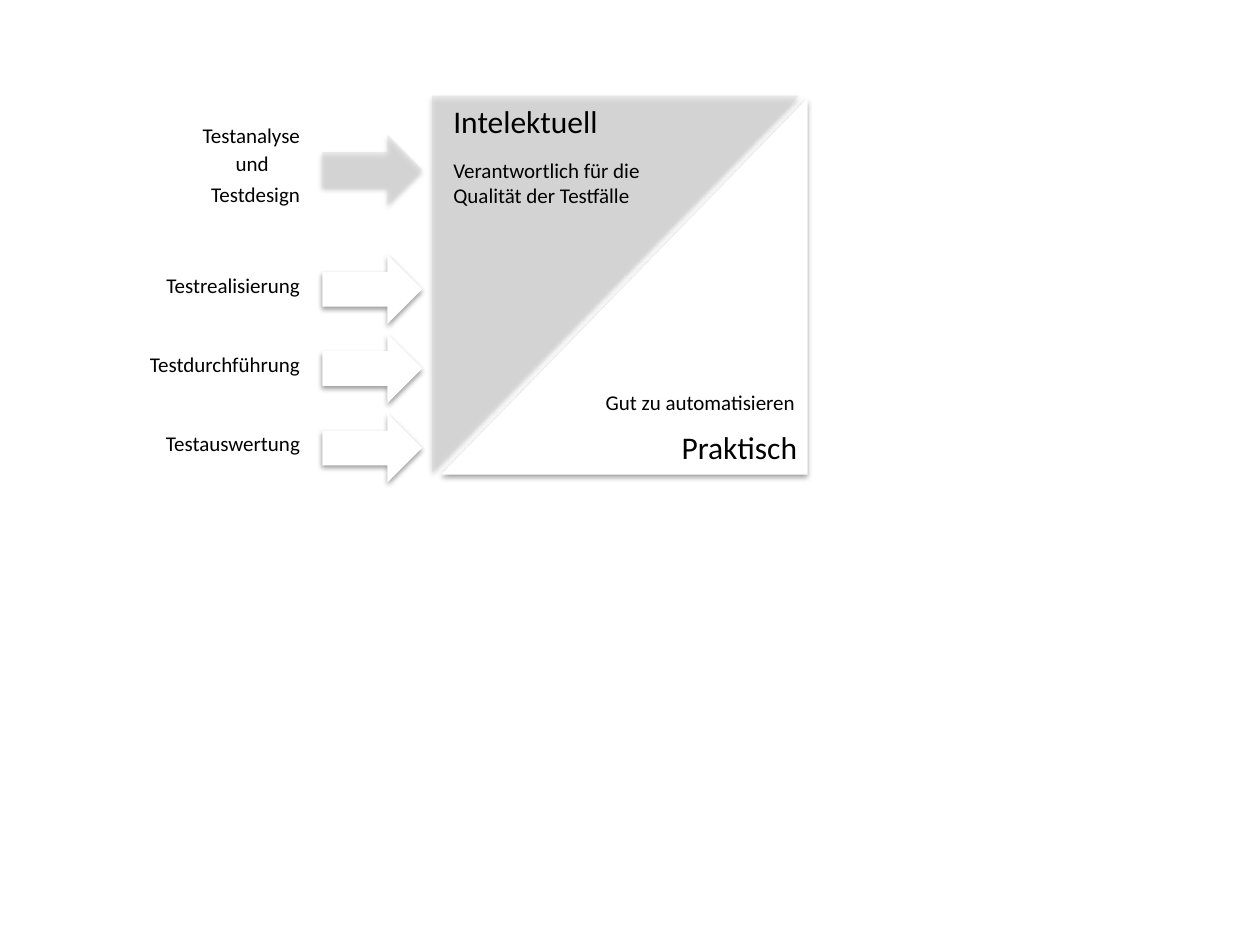
from dataclasses import dataclass

from lxml.etree import SubElement
from pptx import Presentation
from pptx.dml.color import RGBColor as Color
from pptx.enum.shapes import MSO_SHAPE as Shape
from pptx.enum.text import MSO_AUTO_SIZE as AutoSize, PP_ALIGN as Align
from pptx.oxml import parse_xml
from pptx.oxml.ns import nsdecls, qn
from pptx.util import Cm, Pt


@dataclass(frozen=True)
class Theme:
    font: str = "Calibri"
    body: int = 12
    heading: int = 18
    text: str = "000000"
    intellectual: str = "D9D9D9"
    practical: str = "FFFFFF"


class TestActivitySlide:
    """Draws styled shapes and text on one slide."""

    def __init__(self, slide, theme):
        self.slide = slide
        self.theme = theme

    def shadowed_shape(self, kind, box, color, opacity=100, rotation=0):
        shape = self.slide.shapes.add_shape(kind, *map(Cm, box))
        shape.rotation = rotation
        shape.fill.solid()
        shape.fill.fore_color.rgb = Color.from_string(color)
        shape.line.fill.background()
        properties = shape.element.spPr
        if opacity < 100:
            fill_color = properties.find(qn("a:solidFill"))[0]
            SubElement(fill_color, qn("a:alpha"), val=str(opacity * 1000))
        properties.append(parse_xml(
            f'<a:effectLst {nsdecls("a")}><a:outerShdw blurRad="{Pt(3.1)}" '
            f'dist="{Pt(1.6)}" dir="5400000" rotWithShape="0">'
            '<a:srgbClr val="000000"><a:alpha val="38000"/></a:srgbClr>'
            '</a:outerShdw></a:effectLst>'))

    def intellectual_shape(self, kind, box, rotation=0):
        self.shadowed_shape(kind, box, self.theme.intellectual, 50, rotation)

    def practical_shape(self, kind, box, rotation=0):
        self.shadowed_shape(kind, box, self.theme.practical, 100, rotation)

    def text(self, content, box, size=None, align=Align.LEFT):
        shape = self.slide.shapes.add_textbox(*map(Cm, box))
        frame = shape.text_frame
        frame.word_wrap = True
        frame.auto_size = AutoSize.SHAPE_TO_FIT_TEXT
        paragraph = frame.paragraphs[0]
        paragraph.text = content
        paragraph.alignment = align
        paragraph.font.name = self.theme.font
        paragraph.font.size = Pt(size or self.theme.body)
        paragraph.font.color.rgb = Color.from_string(self.theme.text)

    def heading(self, content, box):
        self.text(content, box, self.theme.heading)

    def activity_label(self, content, top, width):
        right = 6.3
        self.text(content, (right - width, top, width, 0.77), align=Align.RIGHT)


def main():
    presentation = Presentation()
    presentation.slide_width, presentation.slide_height = Cm(25.4), Cm(19.05)
    slide = presentation.slides.add_slide(presentation.slide_layouts[6])
    theme = Theme()
    page = TestActivitySlide(slide, theme)

    page.intellectual_shape(Shape.RIGHT_TRIANGLE, (8.61, 2.03, 7.59, 7.39), 90)
    page.practical_shape(Shape.RIGHT_TRIANGLE, (8.79, 2.08, 7.59, 7.39), 270)

    arrow_left, arrow_width, arrow_height = 6.5, 2.01, 1.4
    page.intellectual_shape(
        Shape.RIGHT_ARROW, (arrow_left, 2.72, arrow_width, arrow_height))
    page.activity_label("Testanalyse", 2.34, 2.59)
    page.text("und", (4.5, 2.92, 1.6, 0.77))
    page.activity_label("Testdesign", 3.53, 2.39)

    activities = (("Testrealisierung", 3.4), ("Testdurchführung", 3.61),
                  ("Testauswertung", 3.4))
    for row, (activity, label_width) in enumerate(activities):
        offset = row * 1.6
        page.practical_shape(
            Shape.RIGHT_ARROW,
            (arrow_left, 5.13 + offset, arrow_width, arrow_height))
        page.activity_label(activity, 5.36 + offset, label_width)

    page.heading("Intelektuell", (8.89, 1.93, 4.6, 1.02))
    page.text("Verantwortlich für die Qualität der Testfälle",
              (8.89, 3.05, 4.6, 1.27))
    page.heading("Praktisch", (13.49, 8.51, 4.19, 1.02))
    page.text("Gut zu automatisieren", (11.96, 7.72, 4.4, 0.77))

    presentation.save("out.pptx")


if __name__ == "__main__":
    main()
